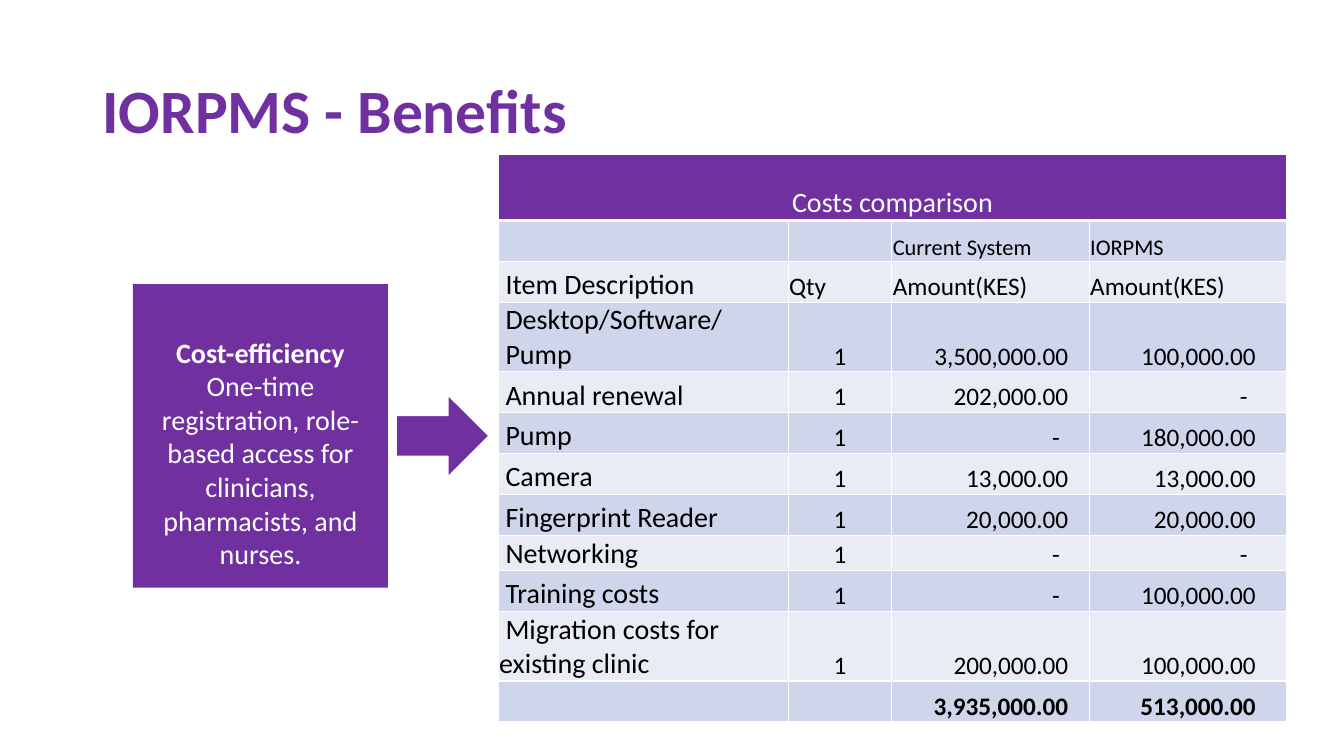
from lxml import etree
from pptx import Presentation
from pptx import util as u
from pptx.dml.color import RGBColor
from pptx.enum import shapes, text
from pptx.oxml import ns

PURPLE, WHITE, BLACK = "7030A0", "FFFFFF", "000000"
BANDS = ["E9EBF5", "CFD5EA"]


def color(value):
    return RGBColor.from_string(value)


def style(para, size, tint, bold=False):
    for span in para.runs:
        span.font.name = "Calibri"
        span.font.size = u.Pt(size)
        span.font.bold = bold
        span.font.color.rgb = color(tint)


deck = Presentation()
deck.slide_width, deck.slide_height = u.Pt(960), u.Pt(540)
page = deck.slides.add_slide(deck.slide_layouts[5])

title = page.shapes.title
title.left, title.top, title.width, title.height = u.Pt(66), u.Pt(28.8), u.Pt(828), u.Pt(104.4)
title.text_frame.text = "IORPMS - Benefits"
title.text_frame.auto_size = text.MSO_AUTO_SIZE.NONE
title.text_frame.vertical_anchor = text.MSO_ANCHOR.MIDDLE
heading = title.text_frame.paragraphs[0]
heading.alignment = text.PP_ALIGN.LEFT
heading.line_spacing = 0.9
style(heading, 44, PURPLE, True)

rows = [
    ["Costs comparison", "", "", ""],
    ["", "", "Current System", "IORPMS"],
    ["Item Description", "Qty", "Amount(KES)", "Amount(KES)"],
    ["Desktop/Software/\nPump", "1", "3,500,000.00", "100,000.00"],
    ["Annual renewal", "1", "202,000.00", "-"],
    ["Pump", "1", "-", "180,000.00"],
    ["Camera", "1", "13,000.00", "13,000.00"],
    ["Fingerprint Reader", "1", "20,000.00", "20,000.00"],
    ["Networking", "1", "-", "-"],
    ["Training costs", "1", "-", "100,000.00"],
    ["Migration costs for existing clinic", "1", "200,000.00", "100,000.00"],
    ["", "", "3,935,000.00", "513,000.00"],
]
widths = [207.2, 74, 141, 141]
heights = [47.3] + [29.2] * 7 + [21] + [29.2] * 3
amount_margins = {2: 15, 3: 22}

frame = page.shapes.add_table(
    len(rows), len(widths), u.Pt(355.9), u.Pt(110.2), u.Pt(sum(widths)), u.Pt(sum(heights)))
costs = frame.table
for column, width in zip(costs.columns, widths):
    column.width = u.Pt(width)
for row, height in zip(costs.rows, heights):
    row.height = u.Pt(height)
costs.cell(0, 0).merge(costs.cell(0, 3))

for r, values in enumerate(rows):
    for c, value in enumerate(values):
        cell = costs.cell(r, c)
        is_amount = r > 2 and c > 1
        cell.text_frame.text = value
        cell.vertical_anchor = text.MSO_ANCHOR.BOTTOM
        cell.margin_left = cell.margin_right = cell.margin_top = u.Pt(0.7)
        cell.margin_bottom = 0
        if is_amount:
            cell.margin_right = u.Pt(amount_margins[c] + (6 if value == "-" else 0))

        for side in ("L", "R", "T", "B"):
            thick = (r == 0 and side == "B") or (r == 1 and side == "T")
            border = etree.SubElement(
                cell._tc.get_or_add_tcPr(), ns.qn("a:ln" + side), w=str(u.Pt(3 if thick else 1)))
            paint = etree.SubElement(border, ns.qn("a:solidFill"))
            etree.SubElement(paint, ns.qn("a:srgbClr"), val=WHITE)
        cell.fill.solid()
        cell.fill.fore_color.rgb = color(BANDS[r % 2] if r else PURPLE)

        for para in cell.text_frame.paragraphs:
            if r == 0:
                para.alignment = text.PP_ALIGN.CENTER
                para.line_spacing = 1.5
            elif c == 0:
                para._p.get_or_add_pPr().set("indent", str(u.Pt(4.5)))
            elif is_amount:
                para.alignment = text.PP_ALIGN.RIGHT
            elif r > 2:
                para.alignment = text.PP_ALIGN.CENTER
            size = 20 if c == 0 else 16 if r == 1 else 18
            style(para, size, BLACK if r else WHITE, r == len(rows) - 1)

benefit = page.shapes.add_shape(
    shapes.MSO_SHAPE.RECTANGLE, u.Pt(95), u.Pt(203), u.Pt(182.2), u.Pt(216.7))
arrow = page.shapes.add_shape(
    shapes.MSO_SHAPE.RIGHT_ARROW, u.Pt(283), u.Pt(282.2), u.Pt(66.2), u.Pt(58.3))
for shape in (benefit, arrow):
    shape.shadow.inherit = False
    shape.fill.solid()
    shape.fill.fore_color.rgb = color(PURPLE)
benefit.line.fill.background()
arrow.line.color.rgb = color(WHITE)
arrow.line.width = u.Pt(1)

box = benefit.text_frame
box.text = ("Cost-efficiency\nOne-time registration, role-based access for "
            "clinicians, pharmacists, and nurses.")
box.word_wrap = True
box.vertical_anchor = text.MSO_ANCHOR.MIDDLE
box.margin_top = u.Pt(27.6)
for number, para in enumerate(box.paragraphs):
    para.alignment = text.PP_ALIGN.CENTER
    style(para, 20, WHITE, number == 0)

deck.save("out.pptx")
